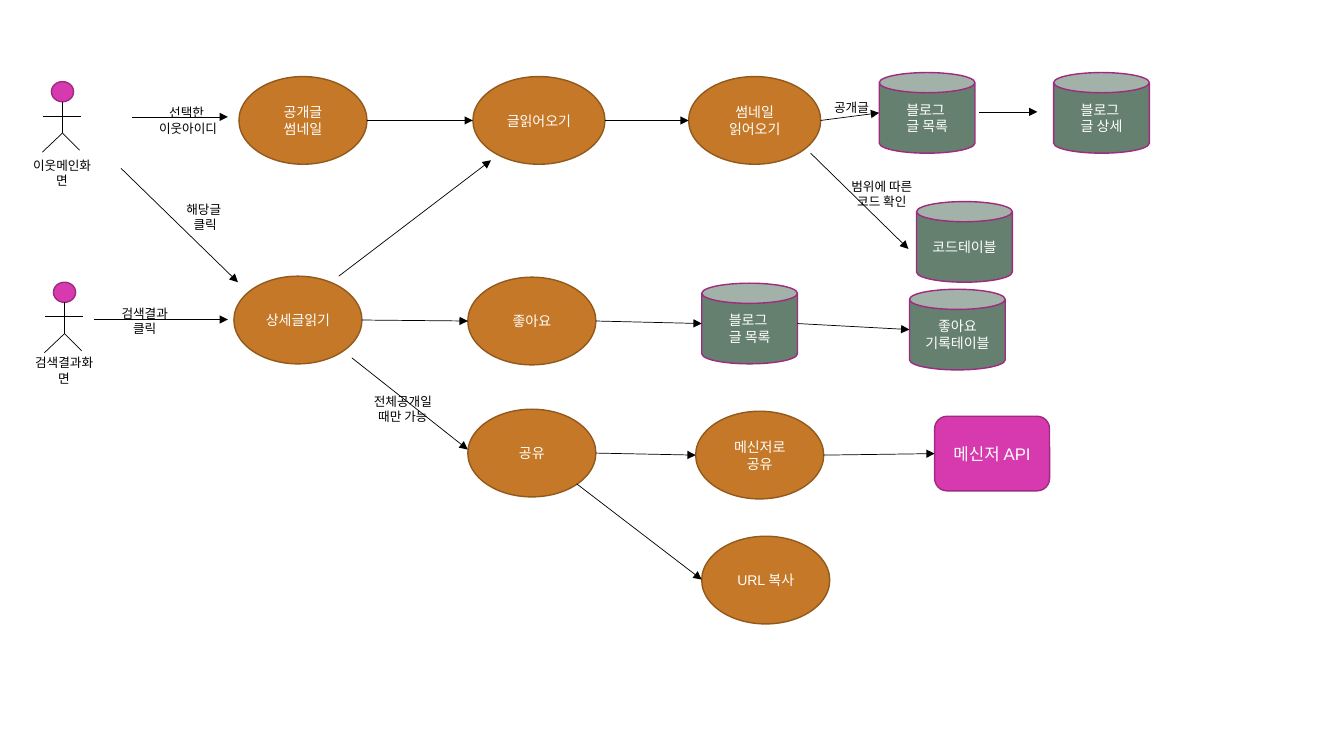
"""Draw the blog reading and sharing flow as a one-slide diagram."""
from lxml import etree
from pptx import Presentation
from pptx.dml.color import RGBColor
from pptx.enum.shapes import MSO_CONNECTOR as Connector, MSO_SHAPE as Preset
from pptx.enum.text import MSO_ANCHOR as Anchor, PP_ALIGN as Align
from pptx.oxml.ns import qn
from pptx.util import Pt

PX = 9144
ORANGE = RGBColor(0xC5, 0x78, 0x27)
BROWN = RGBColor(0x92, 0x59, 0x1D)
GREEN = RGBColor(0x65, 0x80, 0x6E)
PINK = RGBColor(0xD7, 0x39, 0xAE)
PLUM = RGBColor(0x9F, 0x2A, 0x81)
WHITE = RGBColor(0xFF, 0xFF, 0xFF)
BLACK = RGBColor(0x00, 0x00, 0x00)


def scaled(*lengths):
    """Turn px lengths into EMU."""
    return [round(length * PX) for length in lengths]


def write(shape, lines, size, color):
    """Fill a shape with centred lines of text."""
    frame = shape.text_frame
    frame.word_wrap = True
    frame.vertical_anchor = Anchor.MIDDLE
    for index, line in enumerate(lines):
        paragraph = frame.add_paragraph() if index else frame.paragraphs[0]
        paragraph.alignment = Align.CENTER
        run = paragraph.add_run()
        run.text = line
        run.font.name = "Arial"
        run.font.size = Pt(size)
        run.font.color.rgb = color


def node(shapes, preset, box, fill, outline, lines=(), size=10):
    """Add a filled preset shape with white text."""
    shape = shapes.add_shape(preset, *scaled(*box))
    shape.shadow.inherit = False
    shape.fill.solid()
    shape.fill.fore_color.rgb = fill
    shape.line.color.rgb = outline
    shape.line.width = Pt(1)
    if lines:
        write(shape, lines, size, WHITE)
    return shape


def step(slide, left, top, *lines, width=127):
    """Add an orange process ellipse."""
    return node(slide.shapes, Preset.OVAL, (left, top, width, 87), ORANGE, BROWN, lines)


def table_store(slide, left, top, *lines):
    """Add a green database cylinder."""
    return node(slide.shapes, Preset.CAN, (left, top, 95, 80), GREEN, PLUM, lines)


def label(slide, left, top, *lines, width=81, height=25):
    """Add a small black caption."""
    box = slide.shapes.add_textbox(*scaled(left, top, width, height))
    write(box, lines, 9, BLACK)


def stroke(shapes, start, end):
    """Add a thin black line between two EMU points."""
    line = shapes.add_connector(Connector.STRAIGHT, *start, *end)
    line.line.color.rgb = BLACK
    line.line.width = Pt(0.5)
    etree.SubElement(line._element.spPr, qn("a:effectLst"))
    return line


def point_arrow(slide, start, end):
    """Add an arrow between two EMU points."""
    line = stroke(slide.shapes, start, end)
    etree.SubElement(line.line._get_or_add_ln(), qn("a:tailEnd"), type="triangle")


def arrow(slide, left, top, right, bottom):
    """Add an arrow between two px points."""
    point_arrow(slide, scaled(left, top), scaled(right, bottom))


def link(slide, source, target):
    """Add an arrow from the right of one shape to the left of the next."""
    start = source.left + source.width, source.top + source.height // 2
    end = target.left, target.top + target.height // 2
    point_arrow(slide, start, end)


def chain(slide, *nodes):
    """Link neighbouring shapes in order."""
    for source, target in zip(nodes, nodes[1:]):
        link(slide, source, target)


def actor(slide, left, top, name, name_top):
    """Add a stick figure with its screen name below."""
    shapes = slide.shapes.add_group_shape().shapes
    node(shapes, Preset.OVAL, (left + 9, top, 22, 20), PINK, PLUM)
    limbs = ((1, 34, 38, 34), (20, 20, 20, 51), (20, 51, 0, 70), (20, 51, 37, 68))
    for x1, y1, x2, y2 in limbs:
        stroke(shapes, scaled(left + x1, top + y1), scaled(left + x2, top + y2))
    label(slide, left - 21, top + name_top, name)


def public_lane(slide, left, top):
    """Place the lane that reads public posts and thumbnails."""
    actor(slide, left, top + 9, "이웃메인화면", 78)
    thumbnail = step(slide, left + 195, top + 4, "공개글", "썸네일")
    read = step(slide, left + 427, top + 4, "글읽어오기", width=131)
    fetch = step(slide, left + 641, top + 4, "썸네일", "읽어오기", width=131)
    posts = table_store(slide, left + 830, top, "블로그 ", "글 목록")
    table_store(slide, left + 1003, top, "블로그 ", "글 상세")
    table_store(slide, left + 867, top + 128, "코드테이블")
    chain(slide, thumbnail, read, fetch, posts)
    arrow(slide, left + 89, top + 44, left + 184, top + 44)
    arrow(slide, left + 929, top + 39, left + 987, top + 39)
    arrow(slide, left + 762, top + 80, left + 859, top + 175)
    label(slide, left + 94, top + 35, "선택한 ", "이웃아이디", width=101)
    label(slide, left + 762, top + 22, "공개글")
    label(slide, left + 780, top + 95, "범위에 따른 코드 확인", width=105, height=51)


def detail_lane(slide, left, top):
    """Place the lane that reads one post and records likes."""
    actor(slide, left, top + 6, "검색결과화면", 75)
    detail = step(slide, left + 188, top, "상세글읽기")
    like = step(slide, left + 420, top + 1, "좋아요")
    posts = table_store(slide, left + 652, top + 7, "블로그 ", "글 목록")
    likes = table_store(slide, left + 858, top + 13, "좋아요", "기록테이블")
    chain(slide, detail, like, posts, likes)
    arrow(slide, left + 49, top + 43, left + 182, top + 43)
    arrow(slide, left + 76, top - 107, left + 192, top + 6)
    arrow(slide, left + 292, top, left + 443, top - 115)
    label(slide, left + 119, top - 71, "해당글 ", "클릭")
    label(slide, left + 59, top + 32, "검색결과", "클릭")


def share_lane(slide, left, top):
    """Place the lane that shares a post."""
    share = step(slide, left, top, "공유")
    talk = step(slide, left + 226, top + 2, "메신저로", "공유")
    step(slide, left + 232, top + 126, "URL 복사")
    api_box = left + 463, top + 7, 114, 74
    api = node(slide.shapes, Preset.ROUNDED_RECTANGLE, api_box, PINK, PLUM, ["메신저 API"], 12)
    chain(slide, share, talk, api)
    arrow(slide, left - 115, top - 51, left, top + 40)
    arrow(slide, left + 108, top + 74, left + 232, top + 169)
    label(slide, left - 105, top - 13, "전체공개일때만 가능")


def main():
    """Build and save the presentation."""
    presentation = Presentation()
    presentation.slide_width, presentation.slide_height = scaled(1333, 750)
    slide = presentation.slides.add_slide(presentation.slide_layouts[6])
    public_lane(slide, 42, 72)
    detail_lane(slide, 44, 274)
    share_lane(slide, 464, 406)
    presentation.save("out.pptx")


if __name__ == "__main__":
    main()
